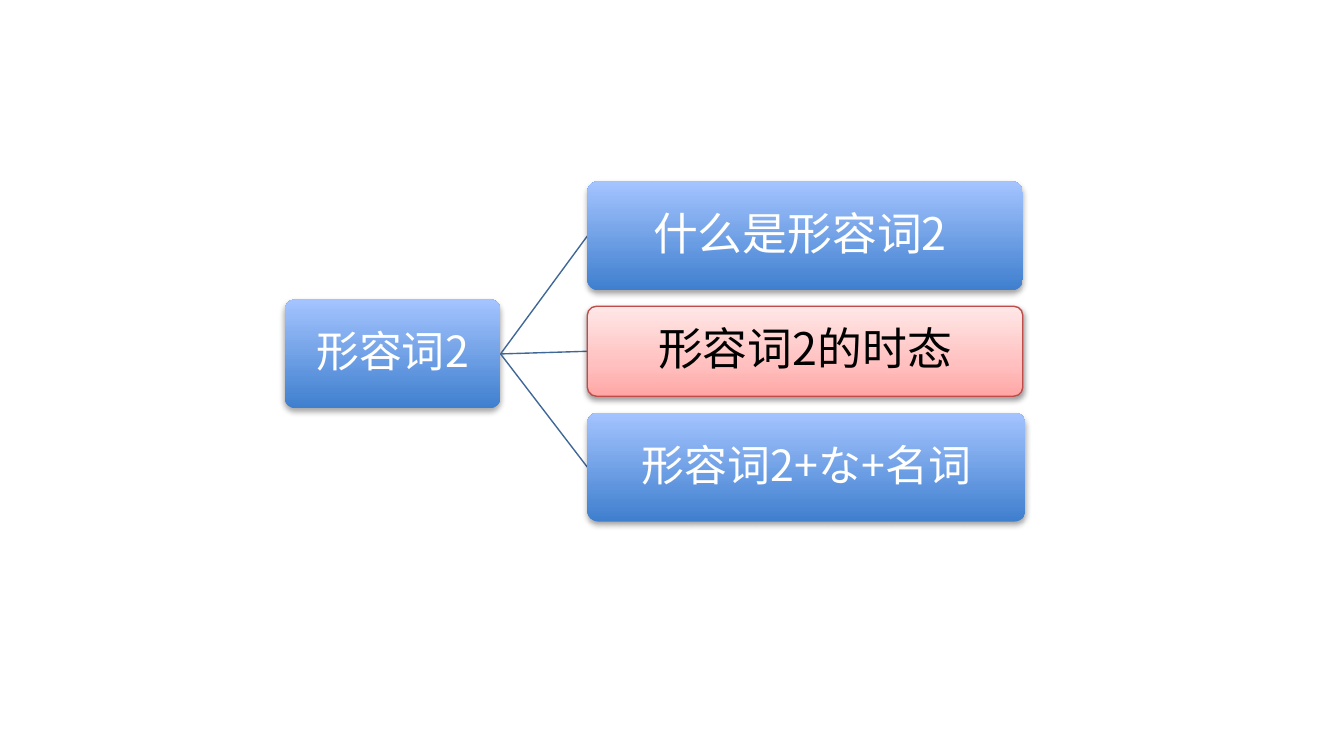
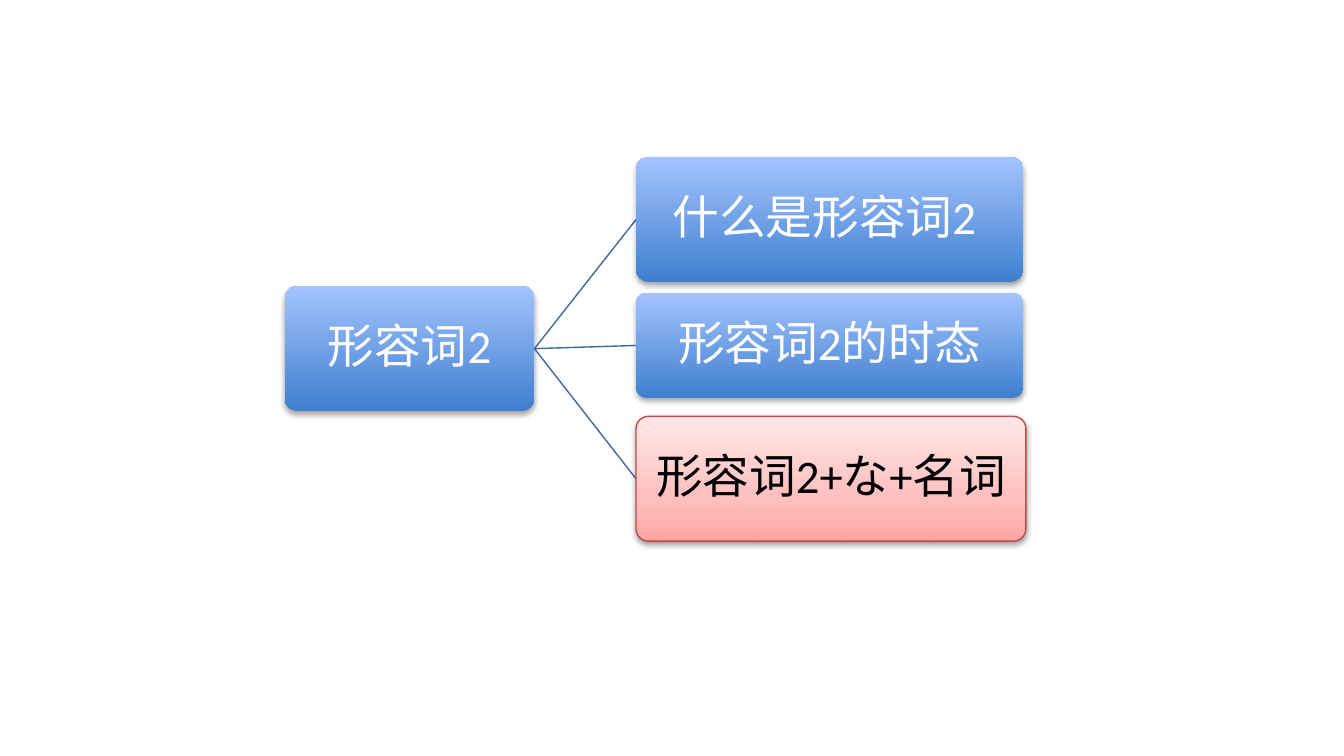
from lxml import etree
from pptx import Presentation
from pptx.dml.color import RGBColor
from pptx.enum.shapes import MSO_CONNECTOR, MSO_SHAPE
from pptx.enum.text import MSO_ANCHOR, PP_ALIGN
from pptx.oxml import parse_xml
from pptx.oxml.ns import nsdecls, qn
from pptx.util import Cm, Pt

CJK = "Noto Sans CJK SC"
BLUE = {"stops": [(0, "3F7FCE"), (100, "A4C4FF")], "line": None,
        "text": "FFFFFF", "alpha": 35, "dist": 23000}
PINK = {"stops": [(0, "FFA6A5"), (35, "FFC0BF"), (100, "FFE7E7")], "line": "BF4C48",
        "text": "000000", "alpha": 38, "dist": 20000}
FRAME = {"word_wrap": True, "vertical_anchor": MSO_ANCHOR.MIDDLE,
         "margin_left": Cm(0.06), "margin_right": Cm(0.06),
         "margin_top": Cm(0.06), "margin_bottom": Cm(0.06)}
PARAGRAPH = {"alignment": PP_ALIGN.CENTER, "line_spacing": 0.9}

ROOT = "形容词2"
TOPICS = ["什么是形容词2 ", "形容词2的时态", "形容词2+な+名词"]
SLIDES = [
    {"font": CJK, "root": (5.38, 5.66, 4.08, 2.06), "root_size": 23, "left": 11.1,
     "rows": [(3.43, 8.23, 2.06), (5.79, 8.23, 1.7), (7.8, 8.28, 2.06)],
     "sizes": [24, 24, 23], "current": 1},
    {"font": "Calibri", "root": (5.38, 5.41, 4.72, 2.36), "root_size": 25, "left": 12.02,
     "rows": [(2.97, 7.32, 2.36), (5.54, 7.32, 1.98), (7.87, 7.37, 2.36)],
     "sizes": [25, 25, 25], "current": 2},
]


def rgb(value):
    return RGBColor.from_string(value)


def add_node(slide, box, text, size, font, style):
    sp = slide.shapes.add_shape(MSO_SHAPE.ROUNDED_RECTANGLE, *[Cm(v) for v in box])
    sp.adjustments[0] = 0.1
    sp.fill.gradient()
    sp.fill.gradient_angle = 90
    stops = sp._element.spPr.find(".//" + qn("a:gsLst"))
    for old in list(stops):
        stops.remove(old)
    for pos, color in style["stops"]:
        stops.append(parse_xml(f'<a:gs {nsdecls("a")} pos="{pos * 1000}">'
                               f'<a:srgbClr val="{color}"/></a:gs>'))
    if style["line"]:
        sp.line.color.rgb = rgb(style["line"])
        sp.line.width = Pt(0.75)
    else:
        sp.line.fill.background()
    sp.shadow.inherit = False
    sp._element.spPr.find(qn("a:effectLst")).append(parse_xml(
        f'<a:outerShdw {nsdecls("a")} blurRad="40000" dist="{style["dist"]}" dir="5400000" '
        f'rotWithShape="0"><a:srgbClr val="000000"><a:alpha val="{style["alpha"] * 1000}"/>'
        '</a:srgbClr></a:outerShdw>'))
    tf = sp.text_frame
    for name, value in FRAME.items():
        setattr(tf, name, value)
    p = tf.paragraphs[0]
    for name, value in PARAGRAPH.items():
        setattr(p, name, value)
    r = p.add_run()
    r.text = text
    for name, value in {"size": Pt(size), "name": font}.items():
        setattr(r.font, name, value)
    r.font.color.rgb = rgb(style["text"])
    r.font._element.find(qn("a:latin")).addnext(
        parse_xml(f'<a:ea {nsdecls("a")} typeface="{CJK}"/>'))


prs = Presentation()
prs.slide_width, prs.slide_height = Cm(25.4), Cm(14.29)

for data in SLIDES:
    s = prs.slides.add_slide(prs.slide_layouts[6])
    x, y, w, h = data["root"]
    add_node(s, data["root"], ROOT, data["root_size"], data["font"], BLUE)
    for i, (top, width, height) in enumerate(data["rows"]):
        line = s.shapes.add_connector(MSO_CONNECTOR.STRAIGHT, Cm(x + w), Cm(y + h / 2),
                                      Cm(data["left"]), Cm(top + height / 2))
        line.line.color.rgb = rgb("3F6797")
        line.line.width = Pt(0.75)
        etree.SubElement(line._element.spPr, qn("a:effectLst"))
        add_node(s, (data["left"], top, width, height), TOPICS[i], data["sizes"][i],
                 data["font"], PINK if i == data["current"] else BLUE)

prs.save("out.pptx")
